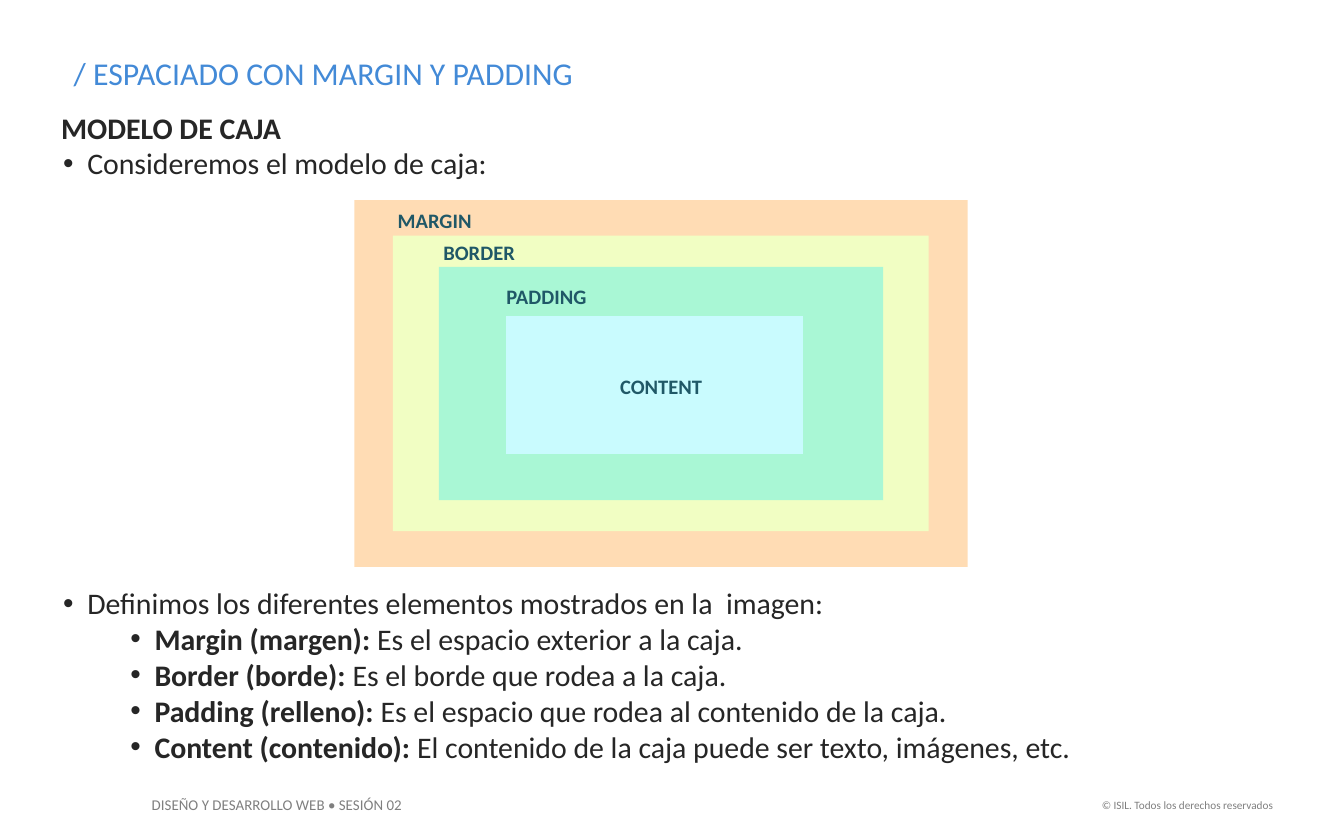
"""Build the box model slide about margin and padding."""
from lxml.etree import SubElement as Sub
from pptx import Presentation
from pptx.dml.color import RGBColor as RGB
from pptx.enum.shapes import MSO_SHAPE as Shape
from pptx.enum.text import PP_ALIGN as Align
from pptx.oxml.ns import qn
from pptx.util import Pt

INK = "262626"
GREY = "7F7F7F"
TEAL = "205867"


def tint(target, color):
    target.rgb = RGB.from_string(color)


def add_text(box, paras, size, color, pad=(7.2, 3.6), align=Align.LEFT):
    frame = slide.shapes.add_textbox(*map(Pt, box)).text_frame
    frame.word_wrap = True
    frame.margin_left = frame.margin_right = Pt(pad[0])
    frame.margin_top = frame.margin_bottom = Pt(pad[1])
    for i, (left, runs) in enumerate(paras):
        para = frame.add_paragraph() if i else frame.paragraphs[0]
        para.alignment = align
        if left:
            props = para._p.get_or_add_pPr()
            props.set("marL", str(Pt(left)))
            props.set("indent", str(Pt(-13)))
            Sub(props, qn("a:buFont"), typeface="Arial")
            Sub(props, qn("a:buChar"), char="•")
            para.level = 1 if left > 20 else 0
        for words, bold in runs:
            run = para.add_run()
            run.text = words
            run.font.name = "Calibri"
            run.font.size = Pt(size)
            run.font.bold = bold
            tint(run.font.color, color)


deck = Presentation()
deck.slide_width, deck.slide_height = Pt(720), Pt(450)
slide = deck.slides.add_slide(deck.slide_layouts[6])

add_text((74.2, 422.6, 152, 17), [(0, [("DISEÑO Y DESARROLLO WEB • SESIÓN 02", False)])], 8, GREY)
add_text((581, 424, 108, 14.5), [(0, [("© ISIL. Todos los derechos reservados", False)])],
         6, GREY, align=Align.RIGHT)
add_text((32.4, 25.2, 567.4, 28), [(0, [("/ ESPACIADO CON MARGIN Y PADDING", False)])], 17, "438AD7")

intro = [
    (0, [("MODELO DE CAJA", True)]),
    (14, [("Consideremos el modelo de caja:", False)]),
]
add_text((32.8, 58.5, 643.7, 38.9), intro, 16, INK, (0, 0))

terms = [
    ("Margin (margen):", " Es el espacio exterior a la caja."),
    ("Border (borde):", " Es el borde que rodea a la caja."),
    ("Padding (relleno): ", "Es el espacio que rodea al contenido de la caja."),
    ("Content (contenido): ", "El contenido de la caja puede ser texto, imágenes, etc."),
]
items = [(14, [("Definimos los diferentes elementos mostrados en la  imagen:", False)])]
items += [(50, [(term, True), (text, False)]) for term, text in terms]
add_text((32.8, 313.4, 653.8, 97), items, 16, INK, (0, 0))

layers = [
    ((189.8, 107.3, 328.6, 196.5), "FFDCB4"),
    ((210.5, 126.2, 287, 158.4), "F1FEC3"),
    ((235.2, 143, 238, 125), "A9F7D5"),
    ((271.2, 169.4, 159, 73.8), "C9FBFE"),
]
for box, color in layers:
    layer = slide.shapes.add_shape(Shape.RECTANGLE, *map(Pt, box))
    layer.shadow.inherit = False
    layer.fill.solid()
    tint(layer.fill.fore_color, color)
    layer.line.fill.background()

labels = [
    ("MARGIN", 205.9, 107.6, Align.LEFT),
    ("BORDER", 230.4, 125, Align.LEFT),
    ("PADDING", 264.2, 148.5, Align.LEFT),
    ("CONTENT", 324.2, 196.7, Align.CENTER),
]
for name, left, top, align in labels:
    add_text((left, top, 60, 20.6), [(0, [(name, True)])], 11, TEAL, align=align)

deck.save("out.pptx")
